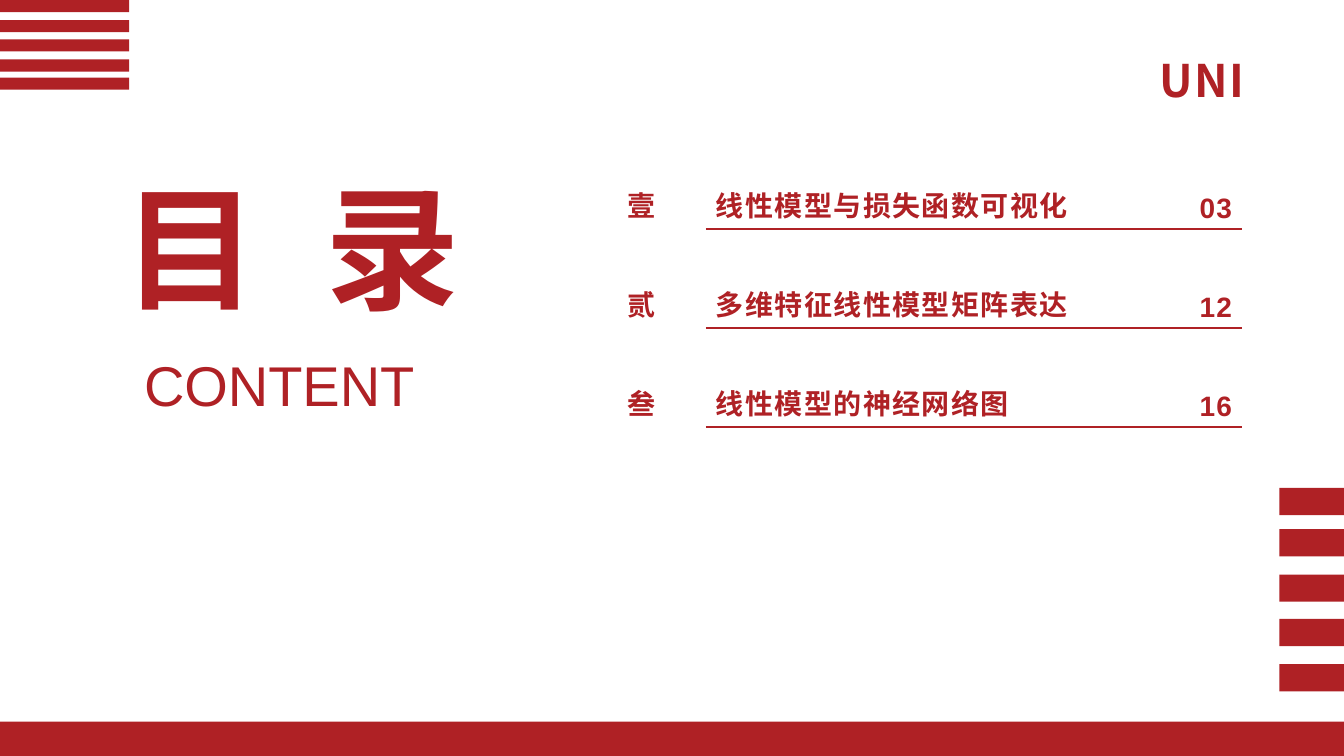
from lxml.etree import SubElement
from pptx import Presentation
from pptx.dml.color import RGBColor
from pptx.enum.shapes import MSO_SHAPE
from pptx.enum.text import MSO_ANCHOR, MSO_AUTO_SIZE, PP_ALIGN
from pptx.oxml.ns import qn
from pptx.util import Inches, Pt

COLORS = {"red": "AF2125"}
RED = RGBColor.from_string(COLORS["red"])
WIDE, HIGH = 13.33, 7.5
SANS, HAN = "Arial", "Noto Sans CJK SC"
ITEMS = [
    ("壹", "线性模型与损失函数可视化", "03"),
    ("贰", "多维特征线性模型矩阵表达", "12"),
    ("叁", "线性模型的神经网络图", "16"),
]
COLS = (0.88, 4.18, 1.14)


def write(para, text, size, bold=True, face=SANS, gap=0):
    run = para.add_run()
    run.text = text
    form = {"name": face, "size": Pt(size), "bold": bold}
    for key, value in form.items():
        setattr(run.font, key, value)
    run.font.color.rgb = RED
    props = run.font._element
    SubElement(props, qn("a:ea")).set("typeface", HAN)
    if gap:
        props.set("spc", str(round(gap * 100)))


def place(shape, box):
    for key, value in zip(("left", "top", "width", "height"), box):
        setattr(shape, key, Inches(value))


def frame(shape, wrap, anchor=MSO_ANCHOR.TOP):
    form = {"word_wrap": wrap, "auto_size": MSO_AUTO_SIZE.NONE,
            "vertical_anchor": anchor}
    for key, value in form.items():
        setattr(shape.text_frame, key, value)
    return shape.text_frame.paragraphs[0]


def bars(slide, box, tops, thick):
    left, top, width = box
    for step in tops:
        bar = slide.shapes.add_shape(
            MSO_SHAPE.RECTANGLE, Inches(left), Inches(top + step),
            Inches(width), Inches(thick))
        bar.shadow.inherit = False
        bar.fill.solid()
        bar.fill.fore_color.rgb = RED
        bar.line.fill.background()


def label(slide, box, text, size, wrap, line=1.0, **form):
    shape = slide.shapes.add_textbox(*map(Inches, box))
    para = frame(shape, wrap)
    para.line_spacing = line
    write(para, text, size, **form)


def heading(slide, box):
    left, top, width, height = box
    title = slide.shapes.title
    place(title, (left, top, width, height))
    para = frame(title, False, MSO_ANCHOR.MIDDLE)
    para.alignment = PP_ALIGN.LEFT
    para.line_spacing = 1.0
    write(para, "目 ", 96, gap=13.35)
    write(para, "录", 96)
    label(slide, (left + 0.21, top + 1.85, 3.35, 0.77), "CONTENT", 40, True,
          bold=False)


def edge(cell, side, shown):
    line = SubElement(cell._tc.get_or_add_tcPr(), qn("a:" + side))
    if shown:
        line.set("w", str(Pt(1.5)))
        fill = SubElement(line, qn("a:solidFill"))
        SubElement(fill, qn("a:srgbClr")).set("val", COLORS["red"])
    else:
        line.set("w", "0")
        SubElement(line, qn("a:noFill"))


def agenda(slide, box):
    table = slide.shapes.add_table(
        len(ITEMS), len(COLS), *map(Inches, box)).table
    table.first_row = table.horz_banding = False
    for col, width in zip(table.columns, COLS):
        col.width = Inches(width)
    for r, item in enumerate(ITEMS):
        for c, text in enumerate(item):
            cell = table.cell(r, c)
            cell.vertical_anchor = MSO_ANCHOR.BOTTOM
            for side in ("lnL", "lnR", "lnT", "lnB"):
                ruled = side == "lnB" or side == "lnT" and r > 0
                edge(cell, side, ruled and c > 0)
            cell.fill.background()
            para = cell.text_frame.paragraphs[0]
            para.alignment = PP_ALIGN.RIGHT if c == 2 else PP_ALIGN.JUSTIFY
            para.line_spacing = 1.5
            write(para, text, 20, gap=1)


def contents(deck):
    slide = deck.slides.add_slide(deck.slide_layouts[5])
    label(slide, (11.4, 0.31, 1.26, 0.73), "UNI", 32, False, 1.3,
          face=HAN, gap=1)
    heading(slide, (1.12, 1.58, 3.69, 1.72))
    agenda(slide, (6.12, 1.29, sum(COLS), 2.95))
    bars(slide, (0, HIGH - 0.34, WIDE), (0,), 0.34)
    bars(slide, (0, 0, 1.28), (0, 0.2, 0.39, 0.59, 0.77), 0.12)
    bars(slide, (WIDE - 0.64, 4.84, 0.64), (0, 0.41, 0.86, 1.3, 1.75), 0.27)


def main():
    deck = Presentation()
    deck.slide_width, deck.slide_height = Inches(WIDE), Inches(HIGH)
    contents(deck)
    deck.save("out.pptx")


if __name__ == "__main__":
    main()
